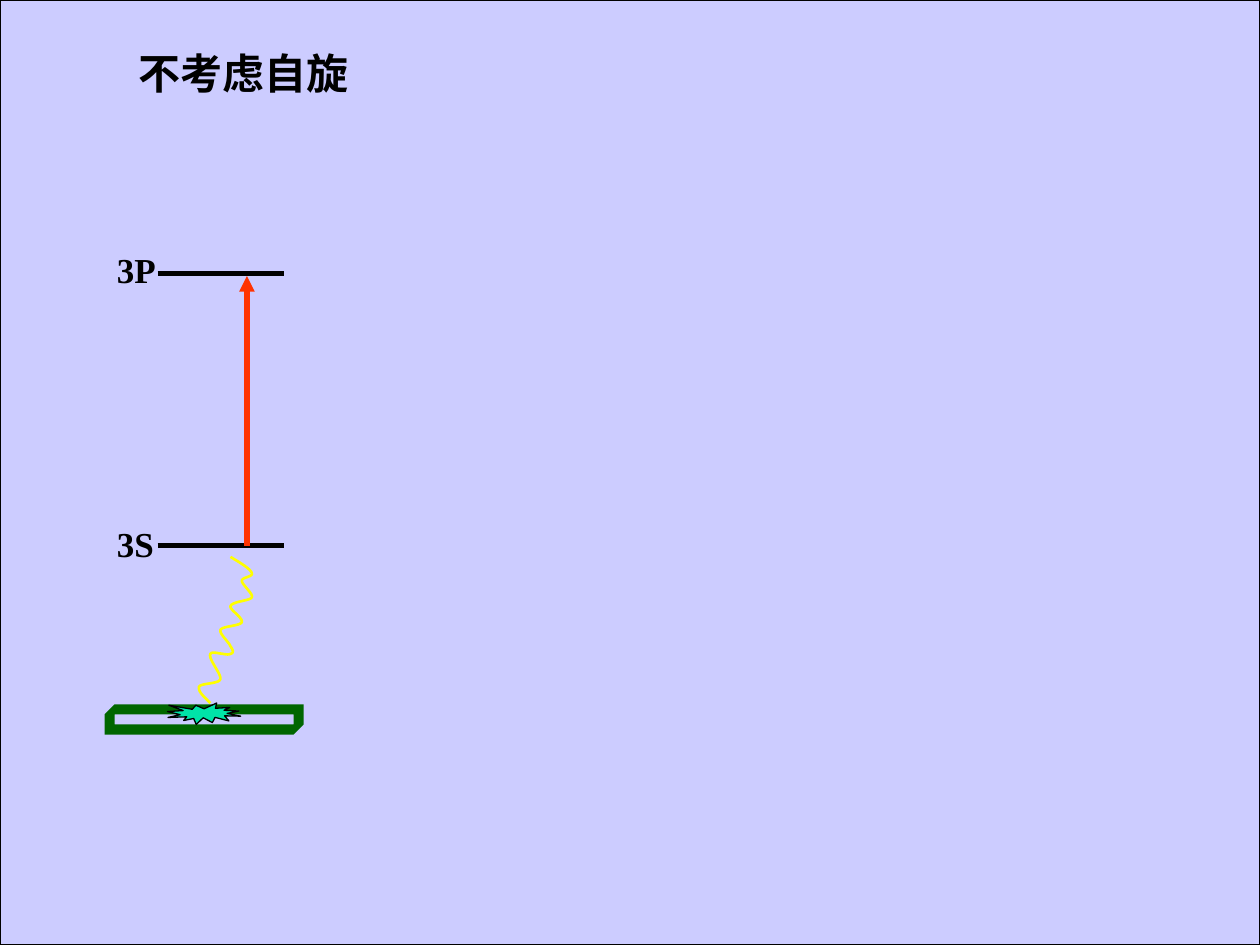
"""Builds a slide of the 3S and 3P energy levels without spin, excited by a flame."""
import dataclasses

import pptx
import pptx.dml.color
import pptx.enum.shapes
import pptx.oxml
import pptx.oxml.ns
import pptx.util

Inches = pptx.util.Inches
Pt = pptx.util.Pt
Shapes = pptx.enum.shapes.MSO_SHAPE


@dataclasses.dataclass(frozen=True)
class Theme:
    font: str = "Times New Roman"
    title_size: int = 24
    label_size: int = 20
    ink: str = "000000"
    backdrop: str = "CCCCFF"
    burner: str = "006600"
    flame: str = "00E4A8"
    wave: str = "FFFF00"
    excitation: str = "FF3300"
    thin: float = 0.75
    medium: float = 1.5
    thick: float = 3


class Diagram:
    def __init__(self, slide, theme):
        self.shapes = slide.shapes
        self.theme = theme

    def paint(self, shape, fill=None, line=None, width=None):
        shape.shadow.inherit = False
        if fill:
            shape.fill.solid()
            shape.fill.fore_color.rgb = pptx.dml.color.RGBColor.from_string(fill)
        else:
            shape.fill.background()
        if line:
            self.stroke(shape, line, width)
        else:
            shape.line.fill.background()

    def stroke(self, shape, color, width):
        shape.line.color.rgb = pptx.dml.color.RGBColor.from_string(color)
        shape.line.width = Pt(width)

    def preset(self, kind, left, top, width, height, fill):
        shape = self.shapes.add_shape(
            kind, Inches(left), Inches(top), Inches(width), Inches(height))
        self.paint(shape, fill, self.theme.ink, self.theme.thin)

    def text(self, words, left, top, width, height, size):
        box = self.shapes.add_textbox(
            Inches(left), Inches(top), Inches(width), Inches(height))
        box.text_frame.text = words
        font = box.text_frame.paragraphs[0].runs[0].font
        font.name = self.theme.font
        font.size = Pt(size)
        font.bold = True
        font.color.rgb = pptx.dml.color.RGBColor.from_string(self.theme.ink)

    def line(self, start, end, color, arrow=False):
        connector = self.shapes.add_connector(
            pptx.enum.shapes.MSO_CONNECTOR.STRAIGHT,
            *(Inches(value) for value in (*start, *end)))
        self.stroke(connector, color, self.theme.thick)
        if arrow:
            head = pptx.oxml.parse_xml(
                f'<a:tailEnd {pptx.oxml.ns.nsdecls("a")} type="triangle"/>')
            connector.line._get_or_add_ln().append(head)
        connector._element.spPr.append(
            pptx.oxml.parse_xml(f'<a:effectLst {pptx.oxml.ns.nsdecls("a")}/>'))

    def outline(self, contours, closed, **style):
        first, *others = [[(Inches(x), Inches(y)) for x, y in contour]
                          for contour in contours]
        builder = self.shapes.build_freeform(*first[0])
        builder.add_line_segments(first[1:], close=closed)
        for contour in others:
            builder.move_to(*contour[0])
            builder.add_line_segments(contour[1:], close=closed)
        self.paint(builder.convert_to_shape(), **style)

    def curve(self, start, segments, color, steps=10):
        points = [start]
        for segment in segments:
            origin = points[-1]
            for step in range(1, steps + 1):
                points.append(bezier(origin, *segment, step / steps))
        self.outline([points], False, line=color, width=self.theme.medium)


def bezier(start, pull, push, end, t):
    """Return the point at t on a cubic curve."""
    return tuple((1 - t) ** 3 * a + 3 * t * (1 - t) ** 2 * b
                 + 3 * t ** 2 * (1 - t) * c + t ** 3 * d
                 for a, b, c, d in zip(start, pull, push, end))


LEVELS = (("3S", 4.33, 4.1), ("3P", 2.17, 1.92))
WAVE_START = (1.67, 5.58)
WAVE = (
    ((1.62, 5.53), (1.57, 5.49), (1.58, 5.45)),
    ((1.6, 5.42), (1.74, 5.43), (1.75, 5.39)),
    ((1.76, 5.35), (1.65, 5.23), (1.67, 5.19)),
    ((1.68, 5.16), (1.81, 5.21), (1.83, 5.19)),
    ((1.86, 5.18), (1.85, 5.16), (1.83, 5.13)),
    ((1.82, 5.1), (1.74, 5.03), (1.75, 5)),
    ((1.76, 4.97), (1.9, 4.97), (1.92, 4.94)),
    ((1.93, 4.9), (1.82, 4.84), (1.83, 4.81)),
    ((1.85, 4.77), (1.99, 4.77), (2, 4.74)),
    ((2.01, 4.71), (1.92, 4.64), (1.92, 4.61)),
    ((1.92, 4.58), (2.01, 4.58), (2, 4.55)),
    ((1.99, 4.51), (1.86, 4.44), (1.83, 4.42)),
)


def burner_contours(left, top, right, bottom, rim):
    """Return the bevelled rim of the burner and its opening."""
    rim_edge = [(left + rim, top), (right, top), (right, bottom - rim),
                (right - rim, bottom), (left, bottom), (left, top + rim)]
    opening = [(left + rim, top + rim), (left + rim, bottom - rim),
               (right - rim, bottom - rim), (right - rim, top + rim)]
    return [rim_edge, opening]


def main():
    theme = Theme()
    deck = pptx.Presentation()
    deck.slide_width, deck.slide_height = Inches(10), Inches(7.5)
    diagram = Diagram(deck.slides.add_slide(deck.slide_layouts[6]), theme)

    diagram.preset(Shapes.RECTANGLE, 0, 0, 10, 7.5, theme.backdrop)
    diagram.outline(burner_contours(0.83, 5.59, 2.41, 5.83, 0.08), True,
                    fill=theme.burner)
    diagram.preset(Shapes.EXPLOSION1, 1.33, 5.58, 0.58, 0.17, theme.flame)
    for name, height, label_top in LEVELS:
        diagram.line((1.25, height), (2.25, height), theme.ink)
        diagram.text(name, 0.83, label_top, 0.58, 0.43, theme.label_size)
    diagram.curve(WAVE_START, WAVE, theme.wave)
    diagram.text("不考虑自旋", 1, 0.33, 1.95, 0.5, theme.title_size)
    diagram.line((1.96, 4.33), (1.96, 2.19), theme.excitation, arrow=True)

    deck.save("out.pptx")


if __name__ == "__main__":
    main()
